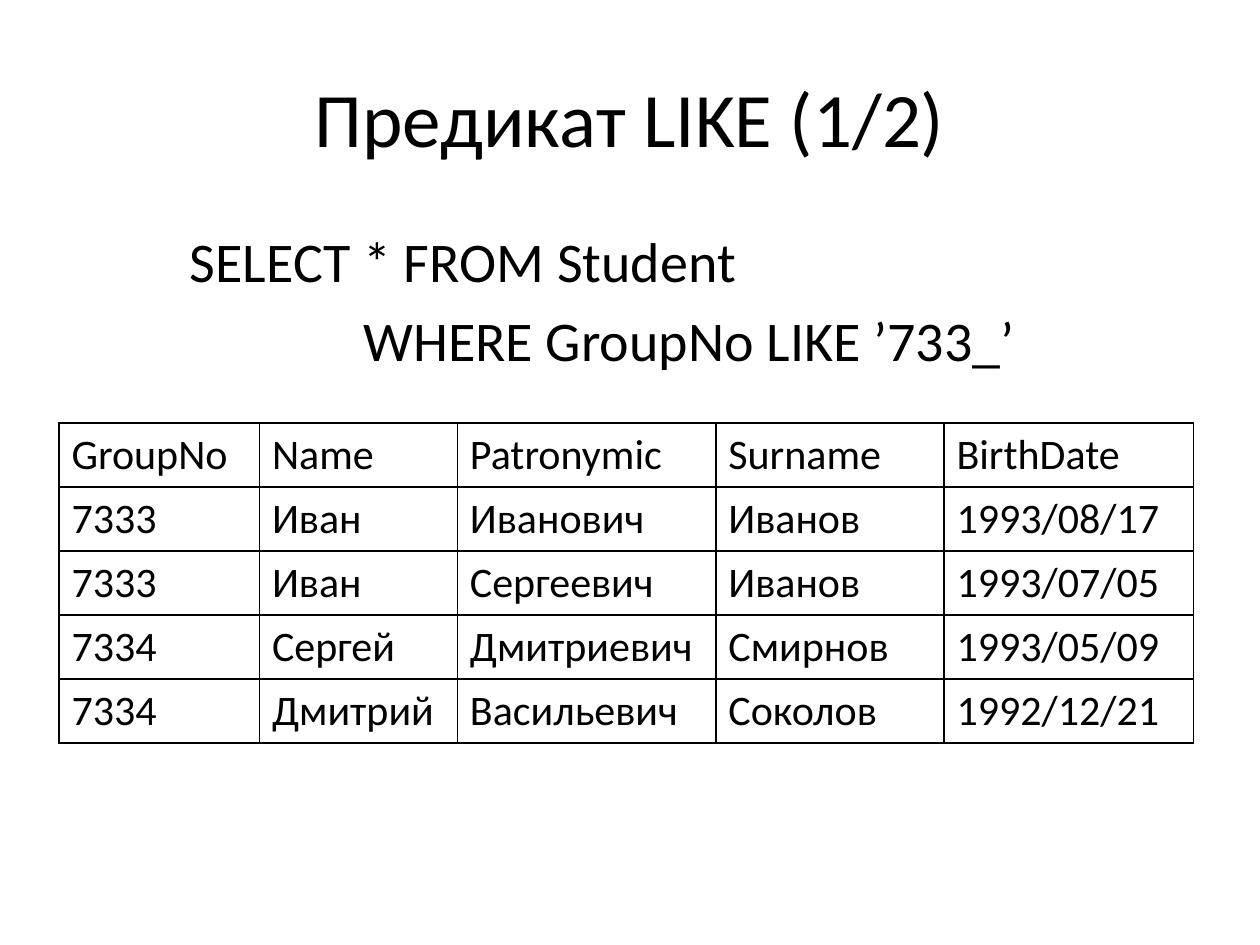
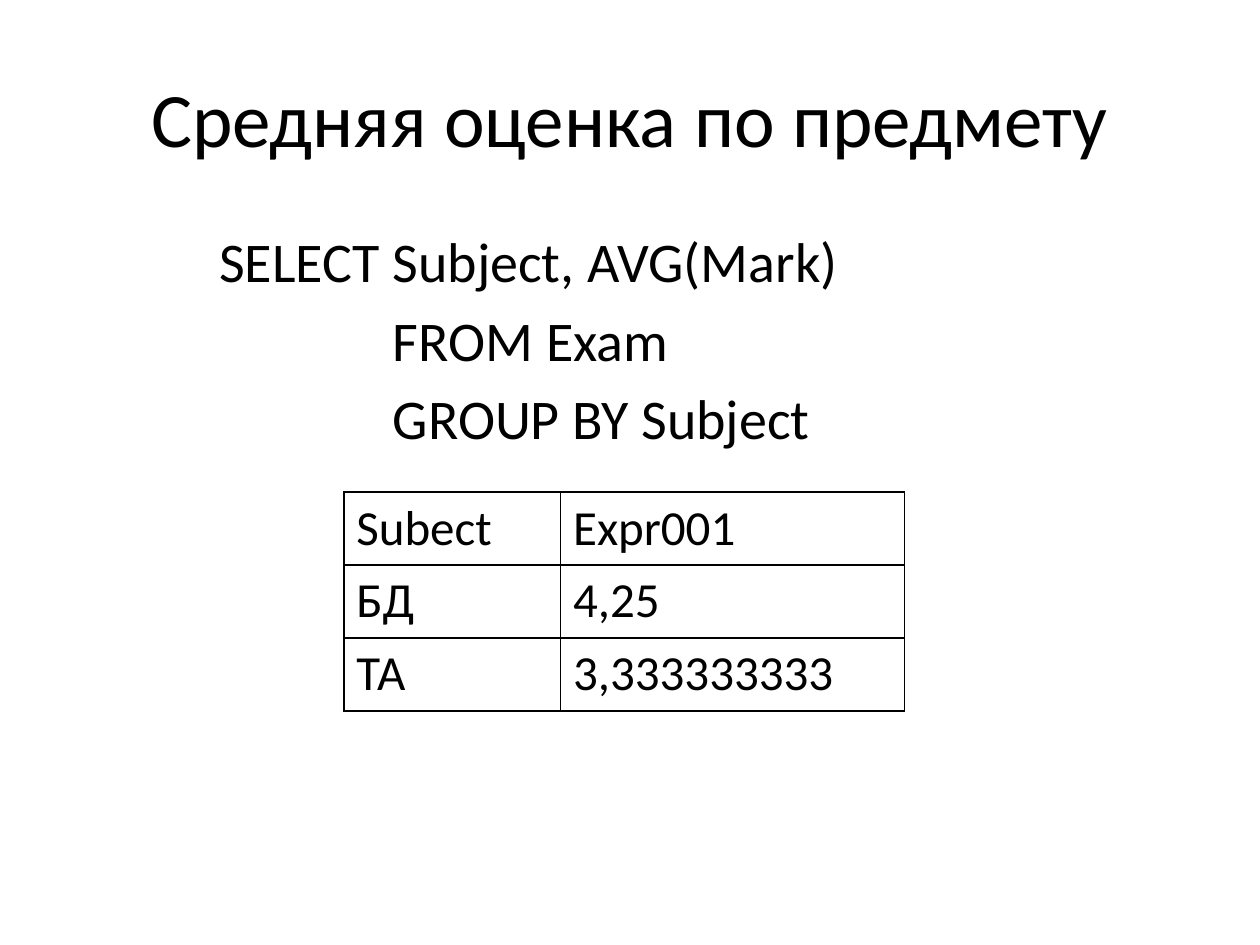
"""Builds two slides on SQL queries, each with a query and its result table."""
from lxml import etree
from pptx import Presentation
from pptx.dml.color import RGBColor
from pptx.enum.text import MSO_ANCHOR, PP_ALIGN
from pptx.oxml.ns import qn
from pptx.util import Cm, Pt

MIDDLE = MSO_ANCHOR.MIDDLE
TOP = MSO_ANCHOR.TOP
LEFT = PP_ALIGN.LEFT
CENTER = PP_ALIGN.CENTER
HUES = {"ink": "000000", "page": "FFFFFF"}
FONT = "Calibri"
STEP = Cm(3.5)

LIKE = {
    "title": "Предикат LIKE (1/2)",
    "query": ["SELECT * FROM Student", "WHERE GroupNo LIKE ’733_’"],
    "box": (3.58, 4.45, 20.55, 3.1),
    "spot": (1.19, 8.53),
    "cols": [4.04, 3.99, 5.21, 4.6, 5.03],
    "high": 1.29,
    "size": 24,
    "rows": [
        ["GroupNo", "Name", "Patronymic", "Surname", "BirthDate"],
        ["7333", "Иван", "Иванович", "Иванов", "1993/08/17"],
        ["7333", "Иван", "Сергеевич", "Иванов", "1993/07/05"],
        ["7334", "Сергей", "Дмитриевич", "Смирнов", "1993/05/09"],
        ["7334", "Дмитрий", "Васильевич", "Соколов", "1992/12/21"],
    ],
}
MARKS = {
    "title": "Средняя оценка по предмету",
    "query": ["SELECT Subject, AVG(Mark)", "FROM Exam", "GROUP BY Subject"],
    "box": (4.17, 4.45, 19.96, 4.67),
    "spot": (6.93, 9.92),
    "cols": [4.37, 6.93],
    "high": 1.47,
    "size": 28,
    "rows": [["Subect", "Expr001"], ["БД", "4,25"], ["ТА", "3,333333333"]],
}


def style(item, values):
    for name, value in values.items():
        setattr(item, name, value)


def write(para, text, size, align=LEFT):
    para.text = text
    para.alignment = align
    style(para.font, {"name": FONT, "size": Pt(size), "bold": False})
    para.font.color.rgb = RGBColor.from_string(HUES["ink"])


def add_title(slide, text):
    title = slide.shapes.title
    style(title, {"left": Cm(1.27), "top": Cm(0.76),
                  "width": Cm(22.86), "height": Cm(3.18)})
    style(title.text_frame, {"vertical_anchor": MIDDLE, "word_wrap": True})
    write(title.text_frame.paragraphs[0], text, 44, CENTER)


def add_query(slide, lines, box):
    frame = slide.shapes.add_textbox(*map(Cm, box)).text_frame
    style(frame, {"word_wrap": True, "vertical_anchor": TOP})
    for i, line in enumerate(lines):
        para = frame.add_paragraph() if i else frame.paragraphs[0]
        if i:
            para._p.get_or_add_pPr().set("marL", str(STEP))
            para.space_before = Pt(6.4)
        write(para, line, 32)


def add_edges(cell):
    props = cell._tc.get_or_add_tcPr()
    for i, side in enumerate(("a:lnL", "a:lnR", "a:lnT", "a:lnB")):
        edge = etree.Element(qn(side), w=str(Pt(1)))
        fill = etree.SubElement(edge, qn("a:solidFill"))
        etree.SubElement(fill, qn("a:srgbClr"), val=HUES["ink"])
        props.insert(i, edge)


def add_grid(slide, rows, spot, cols, high, size):
    left, top = spot
    area = map(Cm, (left, top, sum(cols), high * len(rows)))
    table = slide.shapes.add_table(len(rows), len(cols), *area).table
    style(table, {"first_row": False, "horz_banding": False})
    for col, wide in zip(table.columns, cols):
        col.width = Cm(wide)
    for row, texts in zip(table.rows, rows):
        row.height = Cm(high)
        for cell, text in zip(row.cells, texts):
            cell.fill.solid()
            cell.fill.fore_color.rgb = RGBColor.from_string(HUES["page"])
            add_edges(cell)
            write(cell.text_frame.paragraphs[0], text, size)


def main():
    deck = Presentation()
    style(deck, {"slide_width": Cm(25.4), "slide_height": Cm(19.05)})
    for page in (LIKE, MARKS):
        slide = deck.slides.add_slide(deck.slide_layouts[5])
        add_title(slide, page["title"])
        add_query(slide, page["query"], page["box"])
        add_grid(slide, page["rows"], page["spot"], page["cols"],
                 page["high"], page["size"])
    deck.save("out.pptx")


if __name__ == "__main__":
    main()
